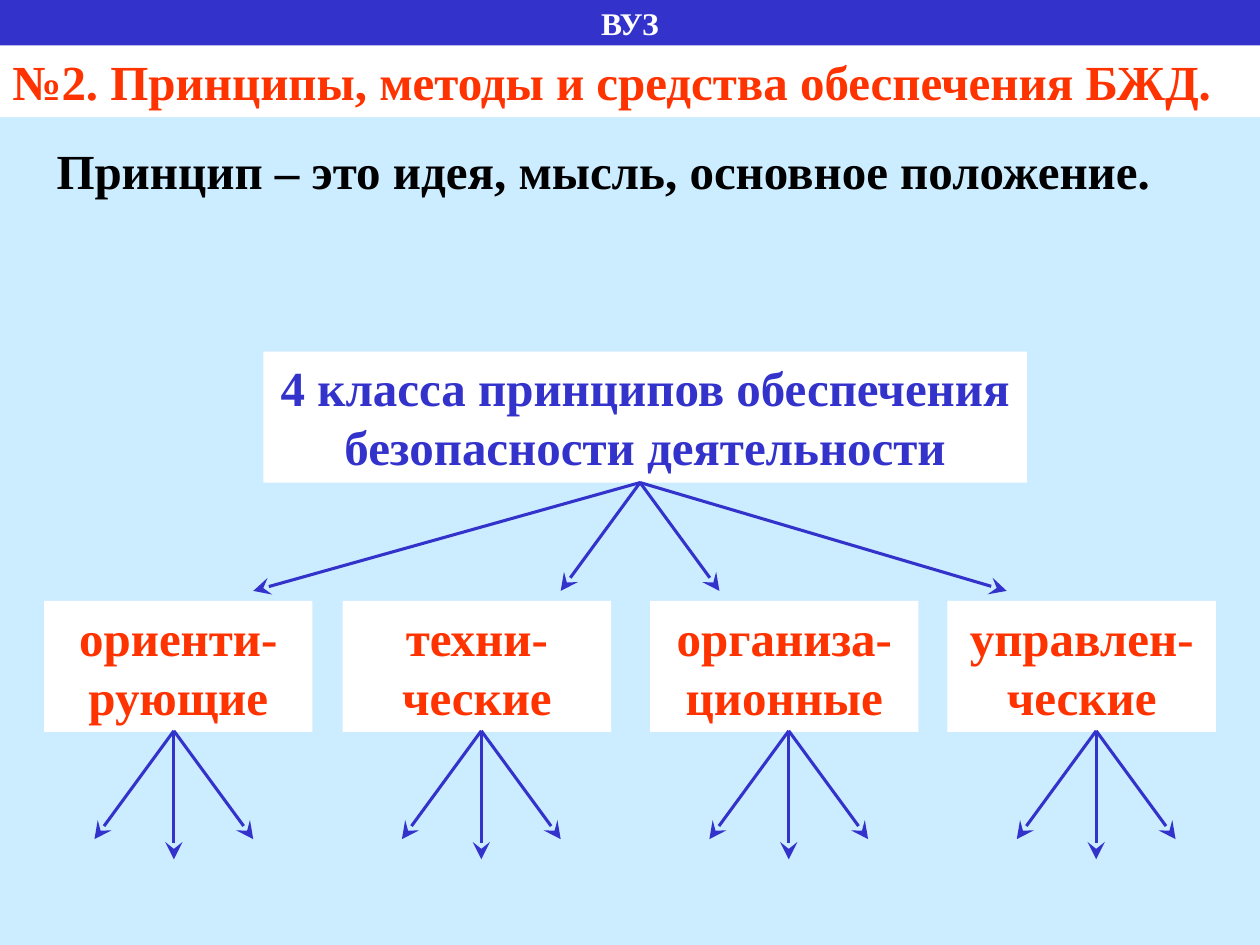
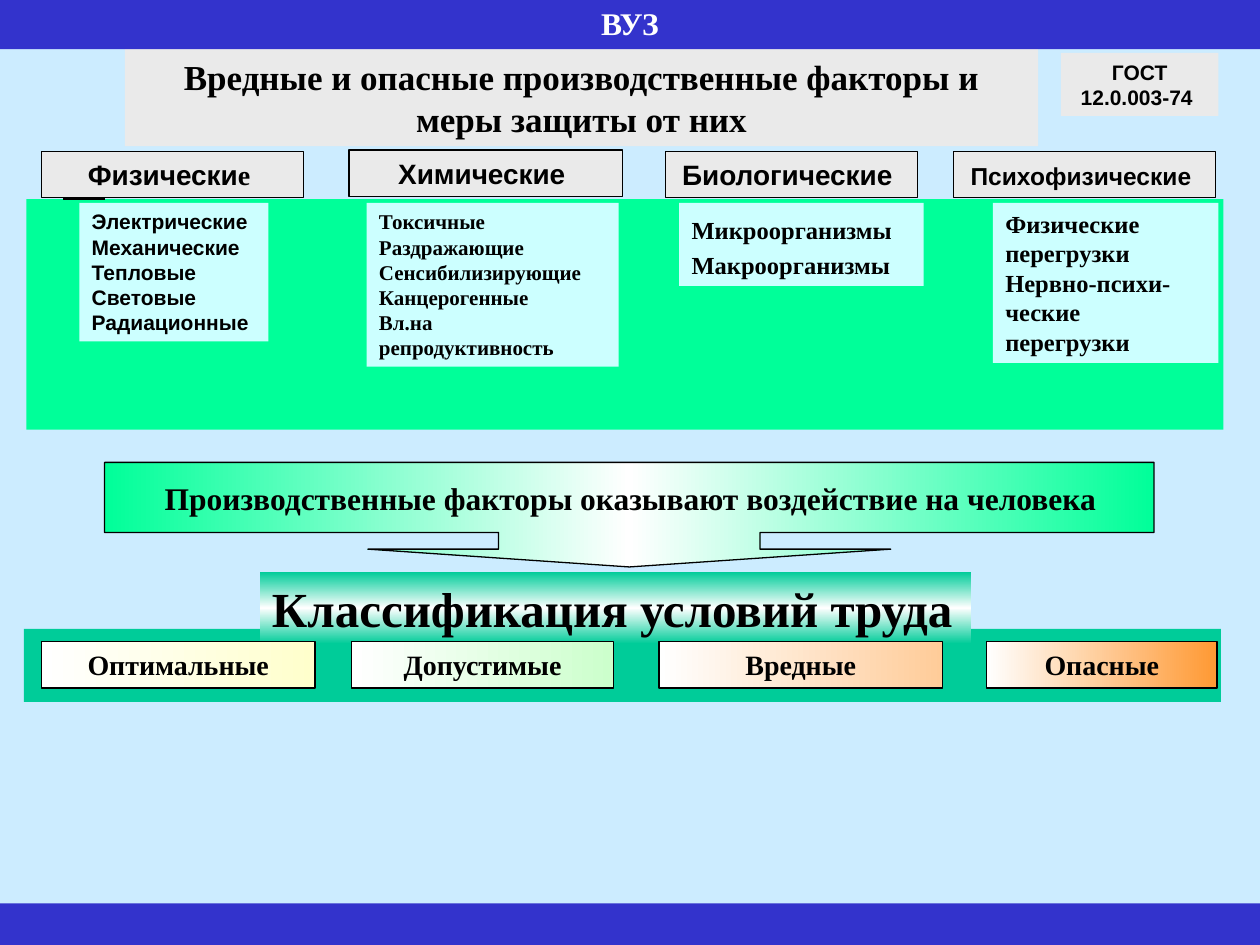
import pptx
import pptx.util
import pptx.dml.color
import pptx.enum.shapes
import pptx.enum.text
import pptx.oxml.ns
import lxml.etree

Inches = pptx.util.Inches
RGBColor = pptx.dml.color.RGBColor
Shapes = pptx.enum.shapes.MSO_SHAPE
Align = pptx.enum.text.PP_ALIGN
Anchor = pptx.enum.text.MSO_ANCHOR
qn = pptx.oxml.ns.qn

SKY = RGBColor(0xCC, 0xEC, 0xFF)
BLUE = RGBColor(0x33, 0x33, 0xCC)
RED = RGBColor(0xFF, 0x33, 0x00)
BLACK = RGBColor(0x00, 0x00, 0x00)
WHITE = RGBColor(0xFF, 0xFF, 0xFF)
GREY = RGBColor(0xEA, 0xEA, 0xEA)
AQUA = RGBColor(0xCC, 0xFF, 0xFF)
GREEN = RGBColor(0x00, 0xFF, 0x99)
TEAL = RGBColor(0x00, 0xCC, 0x99)
PALE_YELLOW = RGBColor(0xFF, 0xFF, 0xCC)
PALE_GREEN = RGBColor(0xCC, 0xFF, 0xCC)
PEACH = RGBColor(0xFF, 0xCC, 0x99)
ORANGE = RGBColor(0xFF, 0x99, 0x33)

SERIF = "Times New Roman"
SANS = "Arial"


def write_text(shape, text, size=28, color=BLACK, font=SERIF, align=Align.LEFT,
               anchor=Anchor.TOP, spacing=None, wrap=True):
    """Write one paragraph per line; a line may be a list of (text, font, size) runs."""
    frame = shape.text_frame
    frame.word_wrap = wrap
    frame.vertical_anchor = anchor
    lines = [text] if isinstance(text, str) else text
    for index, line in enumerate(lines):
        paragraph = frame.paragraphs[0] if index == 0 else frame.add_paragraph()
        paragraph.alignment = align
        if spacing:
            paragraph.line_spacing = spacing
        runs = [(line, font, size)] if isinstance(line, str) else line
        for run_text, run_font, run_size in runs:
            run = paragraph.add_run()
            run.text = run_text
            run.font.name = run_font
            run.font.size = pptx.util.Pt(run_size)
            run.font.bold = True
            run.font.color.rgb = color


class Deck:
    def __init__(self):
        self.presentation = pptx.Presentation()
        self.presentation.slide_width = Inches(10)
        self.presentation.slide_height = Inches(7.5)
        self.slide = None

    def new_slide(self):
        self.slide = self.presentation.slides.add_slide(self.presentation.slide_layouts[6])
        fill = self.slide.background.fill
        fill.solid()
        fill.fore_color.rgb = SKY

    def header(self):
        self.box(0, -0.03, 10, 0.42, BLUE, "ВУЗ", size=18, color=WHITE,
                 align=Align.CENTER, anchor=Anchor.MIDDLE)

    def box(self, left, top, width, height, fill, text=None, outlined=False,
            kind=Shapes.RECTANGLE, angle=0, **text_format):
        """Draw a shape; a list of colours as fill makes an even gradient."""
        shape = self.slide.shapes.add_shape(
            kind, Inches(left), Inches(top), Inches(width), Inches(height))
        shape.shadow.inherit = False
        if isinstance(fill, list):
            self.gradient(shape, fill, angle)
        else:
            shape.fill.solid()
            shape.fill.fore_color.rgb = fill
        if outlined:
            shape.line.color.rgb = BLACK
            shape.line.width = pptx.util.Pt(0.75)
        else:
            shape.line.fill.background()
        if text:
            write_text(shape, text, **text_format)
        return shape

    def gradient(self, shape, colors, angle):
        shape.fill.gradient()
        shape.fill.gradient_angle = angle
        stops = next(shape._element.spPr.iter(qn("a:gsLst")))
        for stop in list(stops):
            stops.remove(stop)
        for index, color in enumerate(colors):
            position = 100000 * index // (len(colors) - 1)
            stop = lxml.etree.SubElement(stops, qn("a:gs"), pos=str(position))
            lxml.etree.SubElement(stop, qn("a:srgbClr"), val=str(color))

    def label(self, left, top, width, height, text, **text_format):
        shape = self.slide.shapes.add_textbox(
            Inches(left), Inches(top), Inches(width), Inches(height))
        write_text(shape, text, **text_format)

    def line(self, start, end, color=BLUE, width=1.75, arrow=True):
        connector = self.slide.shapes.add_connector(
            pptx.enum.shapes.MSO_CONNECTOR.STRAIGHT,
            Inches(start[0]), Inches(start[1]), Inches(end[0]), Inches(end[1]))
        connector.line.color.rgb = color
        connector.line.width = pptx.util.Pt(width)
        if arrow:
            lxml.etree.SubElement(connector.line._get_or_add_ln(), qn("a:tailEnd"),
                                  type="stealth", w="lg", len="lg")
        lxml.etree.SubElement(connector._element.spPr, qn("a:effectLst"))


def build_principles(deck):
    deck.new_slide()
    deck.header()
    deck.box(0, 0.36, 10, 0.57, WHITE,
             "№2. Принципы, методы и средства обеспечения БЖД.", color=RED)
    deck.label(0.35, 1.07, 9.45, 0.57, "Принцип – это идея, мысль, основное положение.")

    # Root of the tree and its four classes
    deck.box(2.09, 2.79, 6.06, 1.04, WHITE,
             "4 класса принципов обеспечения безопасности деятельности",
             color=BLUE, align=Align.CENTER)
    classes = [(0.35, "ориенти-рующие"), (2.72, "техни-ческие"),
               (5.16, "организа-ционные"), (7.52, "управлен-ческие")]
    for left, name in classes:
        deck.box(left, 4.77, 2.13, 1.04, WHITE, name, color=RED, align=Align.CENTER)

    # Arrows from the root, then a fan of three under each class
    for target in (2.01, 7.99, 4.45, 5.71):
        deck.line((5.08, 3.83), (target, 4.69))
    for column in range(len(classes)):
        center = 1.38 + 2.44 * column
        for shift, bottom in ((-0.63, 6.66), (0.63, 6.66), (0, 6.82)):
            deck.line((center, 5.8), (center + shift, bottom))


def build_factors(deck):
    deck.new_slide()

    # Bands and the callout behind the text
    deck.box(0.19, 4.99, 9.5, 0.58, TEAL)
    callout = deck.box(0.83, 3.67, 8.33, 0.83, [GREEN, WHITE, GREEN], outlined=True,
                       kind=Shapes.DOWN_ARROW_CALLOUT)
    for index, value in enumerate((2.5, 2.5, 0.17, 0.67)):
        callout.adjustments[index] = value
    deck.box(0.21, 1.58, 9.5, 1.83, GREEN)

    # Title and standard number
    deck.box(0.99, 0.39, 7.25, 0.77, GREY,
             "Вредные и опасные производственные факторы и меры защиты от них",
             size=20, align=Align.CENTER)
    deck.box(8.42, 0.42, 1.25, 0.5, GREY, "ГОСТ 12.0.003-74 ",
             size=12, font=SANS, align=Align.CENTER)

    # Headings of the factor groups
    headings = [
        (0.33, 1.2, 2.08, [[("Физически", SANS, 16), ("е ", SERIF, 16)]]),
        (2.77, 1.19, 2.17, "Химические "),
        (5.28, 1.2, 2, "Биологические "),
        (7.57, 1.2, 2.08, [[("Психофизические", SANS, 14), (" ", SANS, 16)]]),
    ]
    for left, top, width, text in headings:
        deck.box(left, top, width, 0.37, GREY, text, outlined=True,
                 size=16, font=SANS, align=Align.CENTER)
    deck.line((0.5, 1.58), (0.83, 1.58), color=BLACK, width=0.75, arrow=False)

    # Factors in each group
    factors = [
        (0.63, 1.5, 1.1, {"size": 12, "font": SANS},
         ["Электрические", "Механические", "Тепловые", "Световые", "Радиационные"]),
        (2.91, 2, 1.3, {"size": 12},
         ["Токсичные", "Раздражающие", "Сенсибилизирующие", "Канцерогенные",
          "Вл.на репродуктивность"]),
        (5.39, 1.94, 0.66, {"size": 14, "spacing": 1.2},
         ["Микроорганизмы", "Макроорганизмы"]),
        (7.88, 1.79, 1.27, {"size": 14},
         ["Физические перегрузки", "Нервно-психи-ческие перегрузки"]),
    ]
    for left, width, height, text_format, names in factors:
        deck.box(left, 1.61, width, height, AQUA, names, **text_format)

    # Effect on people and classes of working conditions
    deck.label(0.92, 3.75, 8.17, 0.4,
               "Производственные факторы оказывают воздействие на человека",
               size=18, align=Align.CENTER)
    deck.box(2.06, 4.54, 5.65, 0.57, [TEAL, WHITE, TEAL], "Классификация условий труда",
             angle=90, wrap=False)
    conditions = [(0.33, 2.17, PALE_YELLOW, "Оптимальные"),
                  (2.79, 2.08, PALE_GREEN, "Допустимые"),
                  (5.23, 2.25, PEACH, "Вредные"),
                  (7.83, 1.83, ORANGE, "Опасные")]
    for left, width, color, name in conditions:
        deck.box(left, 5.09, width, 0.37, [WHITE, color], name, outlined=True,
                 size=16, align=Align.CENTER)

    # Header and footer bands
    deck.header()
    deck.box(0, 7.17, 10, 0.33, BLUE)


def main():
    deck = Deck()
    build_principles(deck)
    build_factors(deck)
    deck.presentation.save("out.pptx")


if __name__ == "__main__":
    main()
